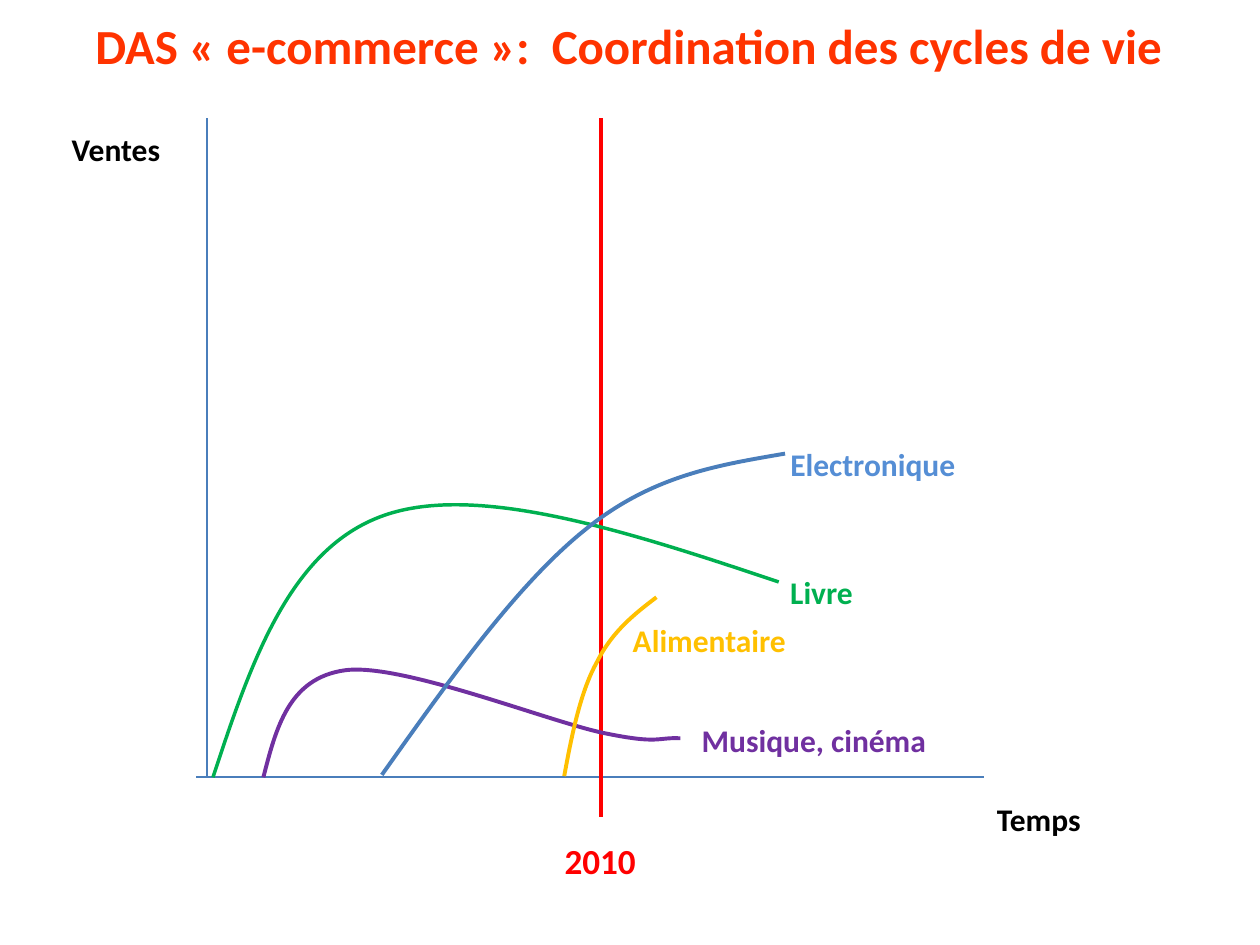
"""Build the slide on the coordinated life cycles of an e-commerce business."""
from dataclasses import dataclass

from lxml.etree import SubElement
from pptx import Presentation
from pptx.dml.color import RGBColor as Rgb
from pptx.enum.shapes import MSO_CONNECTOR as Connector
from pptx.enum.text import MSO_ANCHOR as Anchor, MSO_AUTO_SIZE as AutoSize, PP_ALIGN as Align
from pptx.oxml.ns import qn
from pptx.util import Pt


@dataclass(frozen=True)
class Theme:
    font: str = "Calibri"
    title: str = "FF3300"
    axis: str = "4A7EBB"
    text: str = "000000"
    today: str = "FF0000"
    books: str = "00B050"
    music: str = "7030A0"
    electronics: str = "558ED5"
    food: str = "FFC000"
    title_size: float = 28
    year_size: float = 20.1
    label_size: float = 18
    axis_width: float = 1
    curve_width: float = 2.25


THEME = Theme()
STEPS = 24
TITLE = "DAS « e-commerce »:  Coordination des cycles de vie"
TITLE_BOX = (53.5, 8.6, 611.3, 34.6)
TOP, BASE = 67.7, 444.2

RULES = [
    ((118.1, TOP), (118.1, BASE), THEME.axis, THEME.axis_width),
    ((112.3, BASE), (562.3, BASE), THEME.axis, THEME.axis_width),
    ((343.2, TOP), (343.2, 466.6), THEME.today, THEME.curve_width),
]
CURVES = [
    (THEME.books, 1.98, [
        (121.7, BASE), (143.3, 378.7), (165.6, 313.2), (219.6, 294.5),
        (272.9, 275.8), (359.3, 303.8), (445, 332.6)]),
    (THEME.music, THEME.curve_width, [
        (150.5, BASE), (157.7, 416.2), (164.9, 387.4), (197.3, 383),
        (229.7, 378.7), (313.9, 412.6), (345.6, 419),
        (377.3, 425.5), (375.1, 421.2), (388.8, 421.9)]),
    (THEME.axis, THEME.curve_width, [
        (218.2, 442.8), (257, 388.1), (295.9, 333.4), (334.8, 302.4),
        (373, 271.4), (411.1, 265.7), (448.6, 259.2)]),
    (THEME.food, THEME.curve_width, [
        (322.4, 443.5), (326.9, 419), (331.9, 394.6), (341.3, 378),
        (349.9, 360.7), (362.9, 350.6), (375.1, 341.3)]),
]
LABELS = [
    ("Ventes", (41, 74.2, 51.8, 22.3), THEME.text, THEME.label_size),
    ("Temps", (569.7, 457.2, 49.7, 22.3), THEME.text, THEME.label_size),
    ("2010", (322.6, 479.5, 41, 24.5), THEME.today, THEME.year_size),
    ("Livre", (451.6, 327.6, 36.5, 22.3), THEME.books, THEME.label_size),
    ("Musique, cinéma", (401, 411.8, 130, 22.3), THEME.music, THEME.label_size),
    ("Electronique", (451.6, 254.2, 96, 22.3), THEME.electronics, THEME.label_size),
    ("Alimentaire", (361.6, 355, 89, 22.3), THEME.food, THEME.label_size),
]


def bezier(anchors, t):
    weights = ((1 - t) ** 3, 3 * t * (1 - t) ** 2, 3 * t * t * (1 - t), t ** 3)
    return tuple(Pt(sum(w * a[axis] for w, a in zip(weights, anchors))) for axis in (0, 1))


def style_line(line, color, width):
    line.color.rgb = Rgb.from_string(color)
    line.width = Pt(width)


def add_rule(slide, start, end, color, width):
    rule = slide.shapes.add_connector(Connector.STRAIGHT, *map(Pt, start + end))
    style_line(rule.line, color, width)
    SubElement(rule._element.spPr, qn("a:effectLst"))


def add_curve(slide, color, width, controls):
    spans = [controls[first:first + 4] for first in range(0, len(controls) - 1, 3)]
    extent = [bezier(span, step / STEPS) for span in spans for step in range(1, STEPS + 1)]
    builder = slide.shapes.build_freeform(*map(Pt, controls[0]), scale=1.0)
    builder.add_line_segments(extent, close=False)
    curve = builder.convert_to_shape()
    outline = next(curve._element.iter(qn("a:path")))
    for segment in outline.findall(qn("a:lnTo")):
        outline.remove(segment)
    for span in spans:
        arc = SubElement(outline, qn("a:cubicBezTo"))
        for x, y in span[1:]:
            SubElement(arc, qn("a:pt"), x=str(Pt(x) - curve.left), y=str(Pt(y) - curve.top))
    curve.fill.background()
    curve.shadow.inherit = False
    style_line(curve.line, color, width)


def write(frame, wording, color, size, align):
    frame.margin_left = frame.margin_right = frame.margin_top = frame.margin_bottom = 0
    frame.word_wrap = False
    frame.auto_size = AutoSize.SHAPE_TO_FIT_TEXT
    frame.vertical_anchor = Anchor.TOP
    paragraph = frame.paragraphs[0]
    paragraph.alignment = align
    run = paragraph.add_run()
    run.text = wording
    run.font.name = THEME.font
    run.font.size = Pt(size)
    run.font.bold = True
    run.font.color.rgb = Rgb.from_string(color)


def main():
    deck = Presentation()
    deck.slide_width, deck.slide_height = Pt(720), Pt(540)
    slide = deck.slides.add_slide(deck.slide_layouts[5])
    heading = slide.shapes.title
    heading.left, heading.top, heading.width, heading.height = map(Pt, TITLE_BOX)
    write(heading.text_frame, TITLE, THEME.title, THEME.title_size, Align.CENTER)
    for rule in RULES:
        add_rule(slide, *rule)
    for curve in CURVES:
        add_curve(slide, *curve)
    for wording, box, color, size in LABELS:
        label = slide.shapes.add_textbox(*map(Pt, box))
        write(label.text_frame, wording, color, size, Align.LEFT)
    deck.save("out.pptx")


if __name__ == "__main__":
    main()
